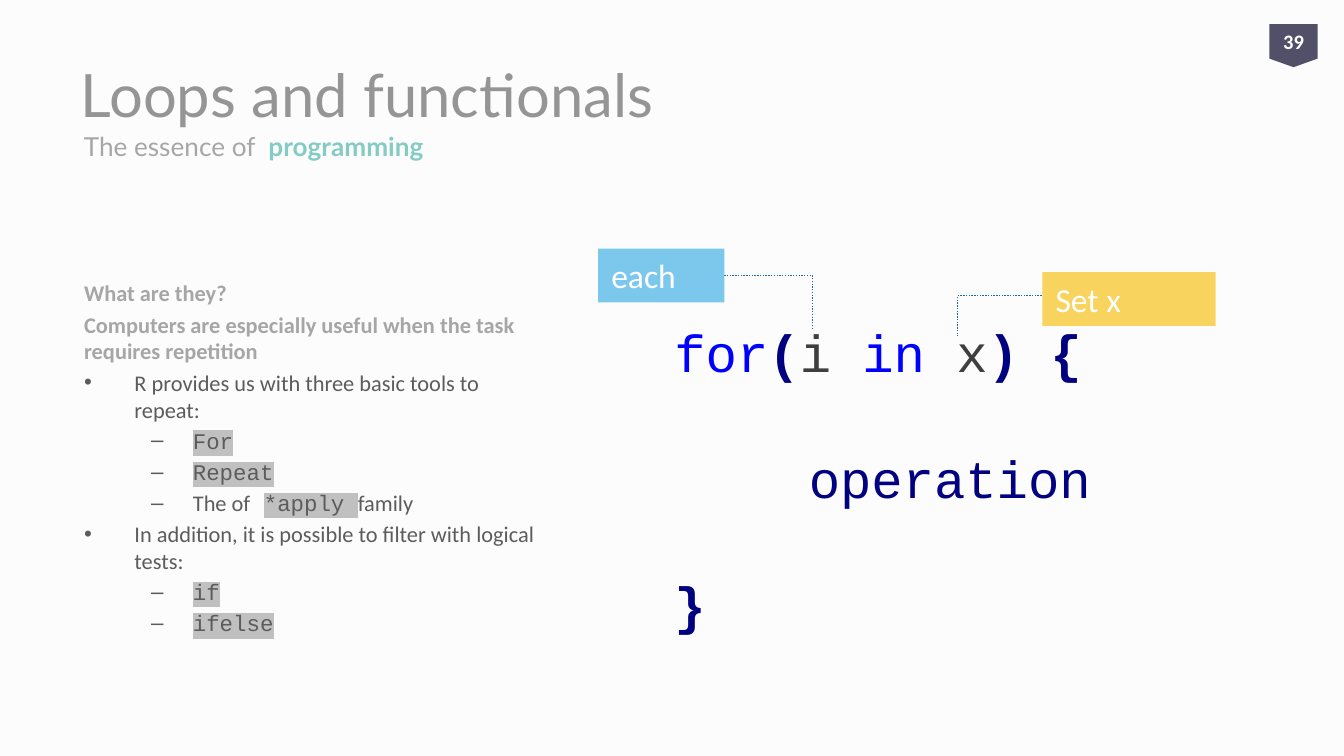
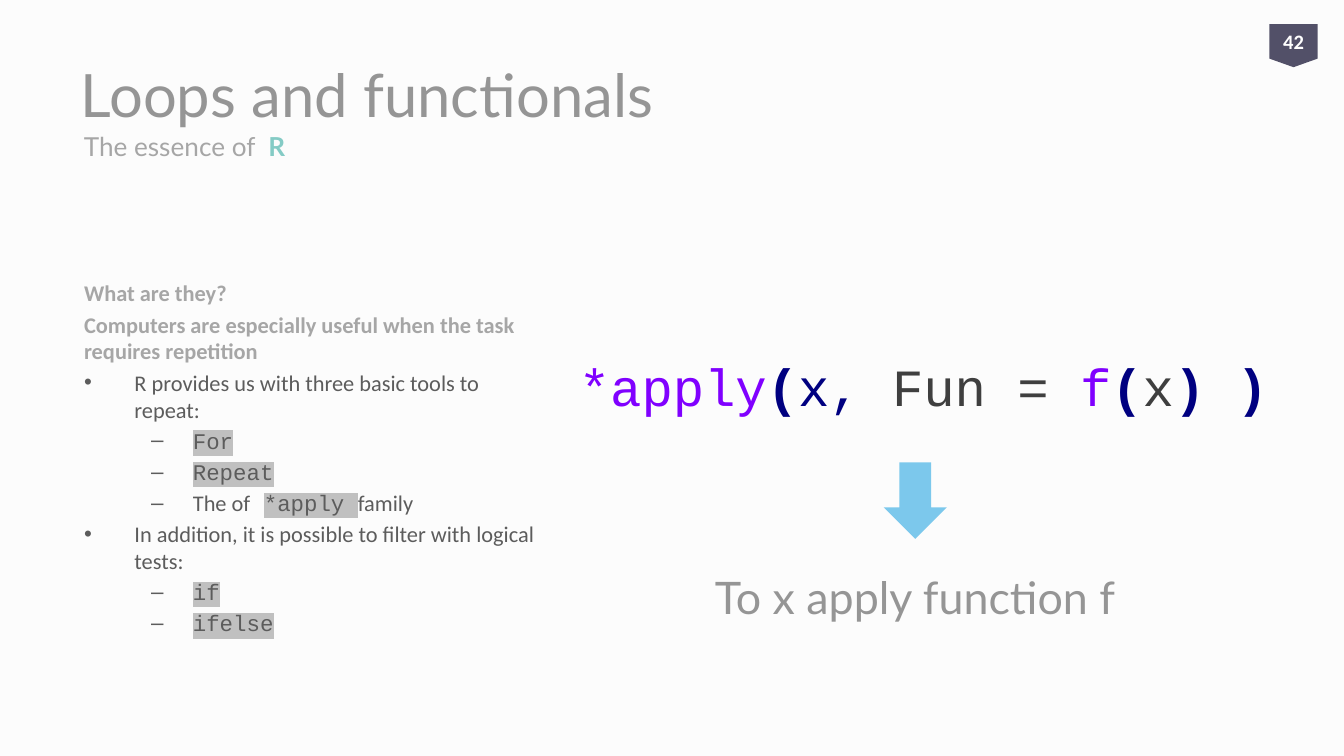
from lxml import etree
from pptx import Presentation, util as u
from pptx.dml.color import RGBColor
from pptx.enum import dml, shapes, text
from pptx.oxml.ns import qn

CELL = u.Inches(0.1)  # grid of 100 columns on a 16:9 page
SANS, MONO, HEADING = "Calibri", "Courier New", "Lato"
WHITE, GREY, LIGHT_GREY, DARK_GREY = "FFFFFF", "959595", "A6A6A6", "5C5C5C"
SKY, YELLOW, PLUM, TEAL = "7CC8EC", "F8D35E", "525068", "84CBC5"
NAVY, BLUE, PURPLE, INK = "000080", "0000FF", "8000FF", "3F3F3F"


def color(code):
    return RGBColor.from_string(code)


def add_span(para, words, size=12, font=SANS, ink=DARK_GREY, bold=False,
             marker=None, tracking=None):
    """Append a run; marker is a highlight colour, tracking is in 1/100 pt."""
    span = para.add_run()
    span.text = words
    span.font.size, span.font.name, span.font.bold = u.Pt(size), font, bold
    span.font.color.rgb = color(ink)
    props = span.font._element
    if marker:
        highlight = etree.Element(qn("a:highlight"))
        etree.SubElement(highlight, qn("a:srgbClr"), val=marker)
        props.find(qn("a:solidFill")).addnext(highlight)
    if tracking:
        props.set("spc", str(tracking))


code = {"font": MONO, "marker": "C0C0C0"}
heading = {"ink": LIGHT_GREY, "bold": True}
# Each entry: list level (None for a heading), then its spans
body_lines = [
    (None, [("What are they?", heading)]),
    (None, [("Computers are especially useful when the task requires repetition", heading)]),
    (0, [("R provides us with three basic tools to repeat:", {})]),
    (1, [("For", code)]),
    (1, [("Repeat", code)]),
    (1, [("The of", {}), (" ", {"font": MONO}), ("*apply ", code), ("family", {})]),
    (0, [("In addition, it is possible to filter with logical tests:", {})]),
    (1, [("if", code)]),
    (1, [("ifelse", code)]),
]
# Level: left margin and hanging indent in cells, bullet
list_styles = {None: (0, 0, None), 0: (3.75, -3.75, "•"), 1: (8.1, -3.1, "–")}

# Code lines: indent in cells, then (words, colour, bold)
for_loop = [
    (0, [("for", BLUE, False), ("(", NAVY, True), ("i ", INK, False),
         ("in ", BLUE, False), ("x", INK, False), (") {", NAVY, True)]),
    (10, [("operation", NAVY, False)]),
    (0, [("}", NAVY, True)]),
]
apply_call = [
    (0, [("*apply", PURPLE, False), ("(", NAVY, True), ("x, ", NAVY, False),
         ("Fun = ", INK, False), ("f", PURPLE, False), ("(", NAVY, True),
         ("x", INK, False), (") )", NAVY, True)]),
]
# Page number, subtitle keyword, code frame in cells, code lines
page_plan = [
    ("39", "programming", (49.2, 23.3, 47.2, 24.6), for_loop),
    ("42", "R", (42.1, 25.8, 54.6, 5.7), apply_call),
]

deck = Presentation()
deck.slide_width = u.Inches(10)
deck.slide_height = deck.slide_width * 9 // 16
background = deck.slide_master.background.fill
background.solid()
background.fore_color.rgb = color("FCFCFC")

for number, keyword, code_frame, code_lines in page_plan:
    page = deck.slides.add_slide(deck.slide_layouts[1])
    title, body = page.placeholders
    for holder, frame in ((title, (5, 2.3, 90, 9.4)), (body, (5.25, 20.3, 36.4, 30.7))):
        holder.left, holder.top, holder.width, holder.height = (int(n * CELL) for n in frame)
        holder.text_frame.auto_size = text.MSO_AUTO_SIZE.NONE

    title.text_frame.vertical_anchor = text.MSO_ANCHOR.MIDDLE
    para = title.text_frame.paragraphs[0]
    para.alignment = text.PP_ALIGN.LEFT
    add_span(para, "Loops and functionals", 32, HEADING, GREY)

    subtitle = page.shapes.add_textbox(*(int(n * CELL) for n in (5.25, 8.9, 90, 4)))
    subtitle.text_frame.word_wrap = True
    subtitle.text_frame.vertical_anchor = text.MSO_ANCHOR.MIDDLE
    para = subtitle.text_frame.paragraphs[0]
    add_span(para, "The essence of", 14, HEADING, LIGHT_GREY)
    add_span(para, " ", 14, HEADING, LIGHT_GREY, tracking=320)
    add_span(para, keyword, 14, HEADING, TEAL, bold=True)

    for index, (level, spans) in enumerate(body_lines):
        para = body.text_frame.paragraphs[0] if index == 0 else body.text_frame.add_paragraph()
        para.level = level or 0
        para.space_before = u.Pt(2.3 if index else 0)
        margin, indent, bullet = list_styles[level]
        props = para._p.get_or_add_pPr()
        props.set("marL", str(int(margin * CELL)))
        props.set("indent", str(int(indent * CELL)))
        if bullet:
            etree.SubElement(props, qn("a:buChar"), char=bullet)
        else:
            etree.SubElement(props, qn("a:buNone"))
        for words, style in spans:
            add_span(para, words, **style)

    code_box = page.shapes.add_textbox(*(int(n * CELL) for n in code_frame))
    code_box.text_frame.word_wrap = True
    for index, (margin, spans) in enumerate(code_lines):
        para = code_box.text_frame.paragraphs[0] if index == 0 else code_box.text_frame.add_paragraph()
        para.line_spacing = u.Pt(34)
        para.space_before = u.Pt(33.4 if index else 0)
        para._p.get_or_add_pPr().set("marL", str(margin * CELL))
        for words, ink, bold in spans:
            add_span(para, words, 28, MONO, ink, bold)

# Dotted elbows from each label to its variable, drawn under the labels
loop_page, apply_page = deck.slides
for ends in ((50, 20.5, 60.45, 24.5), (81.8, 22, 71.25, 25)):
    elbow = loop_page.shapes.add_connector(
        shapes.MSO_CONNECTOR.ELBOW, *(int(n * CELL) for n in ends))
    elbow.line.color.rgb = color("1768A3")
    elbow.line.width = u.Pt(0.75)
    elbow.line.dash_style = dml.MSO_LINE.ROUND_DOT
    etree.SubElement(elbow._element.spPr, qn("a:effectLst"))
    bends = elbow._element.spPr.find(qn("a:prstGeom")).find(qn("a:avLst"))
    etree.SubElement(bends, qn("a:gd"), name="adj1", fmla="val 100000")

# Filled shapes: page, preset, frame in cells, fill, words, text size
kinds = shapes.MSO_SHAPE
tag_frame = (94.45, 1.8, 3.6, 3.2)
filled_shapes = [
    (loop_page, kinds.RECTANGLE, (44.5, 18.5, 9.4, 4), SKY, "each", 18),
    (loop_page, kinds.RECTANGLE, (77.55, 20.25, 12.9, 4), YELLOW, "Set x", 18),
    (apply_page, kinds.DOWN_ARROW, (65.75, 34.4, 4.7, 5.7), SKY, "", 18),
    (loop_page, kinds.FLOWCHART_OFFPAGE_CONNECTOR, tag_frame, PLUM, page_plan[0][0], 11),
    (apply_page, kinds.FLOWCHART_OFFPAGE_CONNECTOR, tag_frame, PLUM, page_plan[1][0], 11),
]
for page, kind, frame, fill, words, size in filled_shapes:
    shape = page.shapes.add_shape(kind, *(int(n * CELL) for n in frame))
    shape.shadow.inherit = False
    shape.fill.solid()
    shape.fill.fore_color.rgb = color(fill)
    shape.line.fill.background()
    if not words:
        continue
    is_tag = kind == kinds.FLOWCHART_OFFPAGE_CONNECTOR
    box = shape.text_frame
    box.vertical_anchor = text.MSO_ANCHOR.MIDDLE if is_tag else text.MSO_ANCHOR.TOP
    if is_tag:
        box.margin_left = box.margin_right = box.margin_top = box.margin_bottom = 0
    para = box.paragraphs[0]
    para.alignment = text.PP_ALIGN.CENTER if is_tag else text.PP_ALIGN.LEFT
    add_span(para, words, size, SANS, WHITE, bold=is_tag)

reading = apply_page.shapes.add_textbox(*(int(n * CELL) for n in (52.2, 41.5, 31.8, 5.8)))
reading.text_frame.word_wrap = True
reading.text_frame.vertical_anchor = text.MSO_ANCHOR.MIDDLE
add_span(reading.text_frame.paragraphs[0], "To x apply function f", 24, HEADING, GREY)

deck.save("out.pptx")
